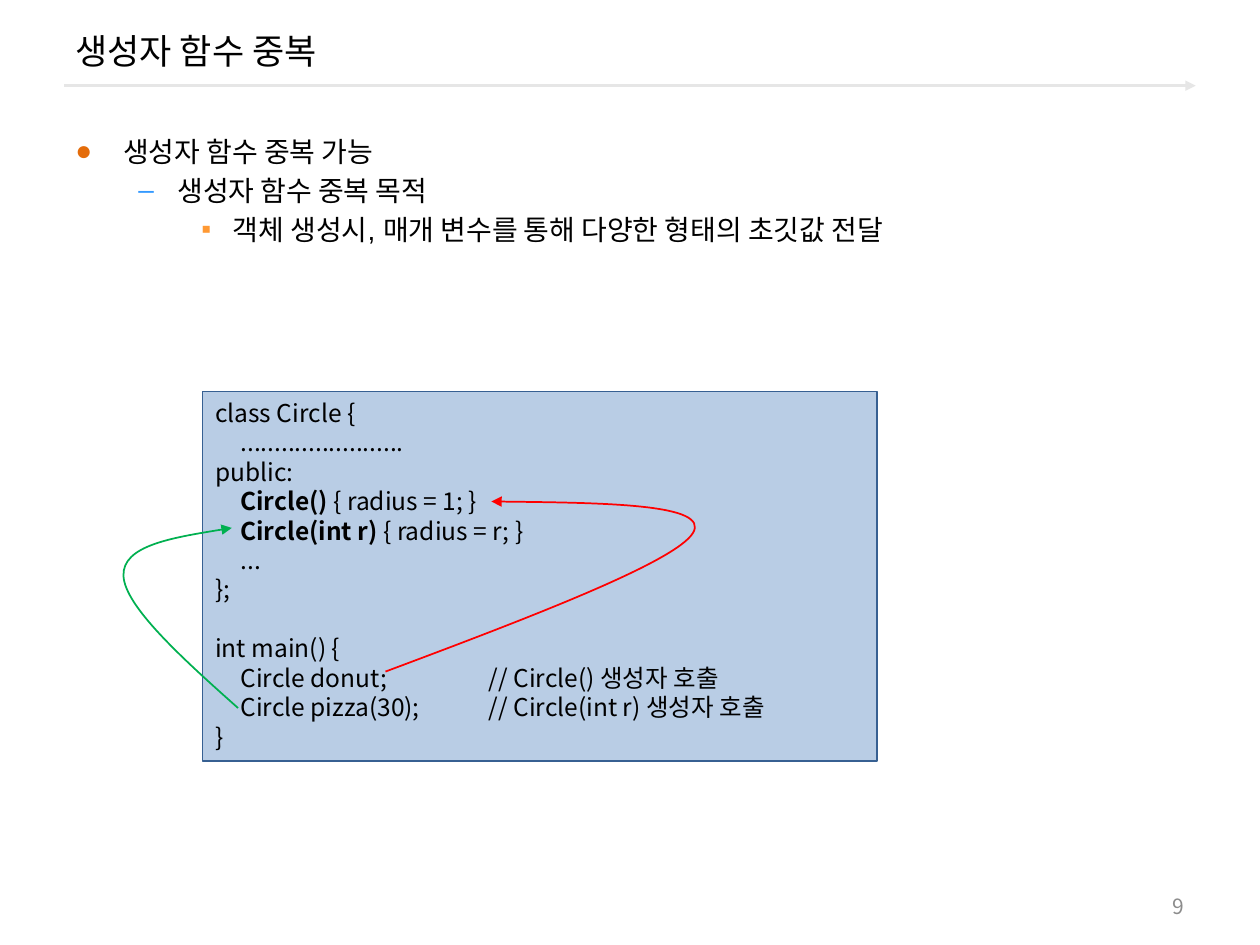
from lxml.etree import SubElement
from pptx import Presentation
from pptx.dml.color import RGBColor
from pptx.enum.shapes import MSO_CONNECTOR, MSO_SHAPE
from pptx.enum.text import MSO_ANCHOR, PP_ALIGN
from pptx.oxml.ns import qn
from pptx.util import Inches, Pt

BLACK = RGBColor(0x00, 0x00, 0x00)
GRAY = RGBColor(0x8C, 0x8C, 0x8C)
RULE_GRAY = RGBColor(0xE6, 0xE6, 0xE6)
CODE_FILL = RGBColor(0xB9, 0xCD, 0xE5)
CODE_LINE = RGBColor(0x37, 0x60, 0x92)
RED = RGBColor(0xFF, 0x00, 0x00)
GREEN = RGBColor(0x00, 0xB0, 0x50)
BULLET_ORANGE = RGBColor(0xE4, 0x6C, 0x0A)
BULLET_BLUE = RGBColor(0x33, 0x99, 0xFF)
BULLET_AMBER = RGBColor(0xFF, 0x99, 0x33)

KOREAN_FONT = "Noto Sans CJK KR"
LATIN_FONT = "Arial"

# Text, left margin, hanging indent, bullet, bullet colour
OUTLINE = [
    ("생성자 함수 중복 가능", 0.38, 0.38, "●", BULLET_ORANGE),
    ("생성자 함수 중복 목적", 0.81, 0.31, "–", BULLET_BLUE),
    ("객체 생성시, 매개 변수를 통해 다양한 형태의 초깃값 전달", 1.25, 0.25, "▪", BULLET_AMBER),
]

# Each line is a list of (text, bold) spans
CODE = [
    [("class Circle {", False)],
    [("\t........................", False)],
    [("public:", False)],
    [("\t", False), ("Circle()", True), (" { radius = 1; }", False)],
    [("\t", False), ("Circle(int r)", True), (" { radius = r; }", False)],
    [("\t...", False)],
    [("};", False)],
    [],
    [("int main() {", False)],
    [("\tCircle donut;\t// Circle() 생성자 호출", False)],
    [("\tCircle pizza(30);\t// Circle(int r) 생성자 호출", False)],
    [("}", False)],
]
CODE_TABS = (0.2, 2.17)

# Start point, then cubic segments of two control points and an end point
RED_CURVE = ((3.06, 5.33), [
    ((4.21, 4.9), (5.36, 4.46), (5.5, 4.23)),
    ((5.64, 4), (4.77, 3.99), (3.9, 3.98)),
])
GREEN_CURVE = ((1.89, 5.62), [
    ((1.44, 5.22), (0.99, 4.81), (0.98, 4.57)),
    ((0.97, 4.33), (1.41, 4.26), (1.84, 4.19)),
])


class SlideBuilder:
    def __init__(self, slide):
        self.slide = slide

    def style(self, para, size, color=BLACK, font=KOREAN_FONT):
        para.font.size = Pt(size)
        para.font.color.rgb = color
        para.font.name = font
        properties = para.font._element
        SubElement(properties, qn("a:ea")).set("typeface", KOREAN_FONT)

    def frame(self, left, top, width, height, anchor=MSO_ANCHOR.TOP):
        box = self.slide.shapes.add_textbox(
            Inches(left), Inches(top), Inches(width), Inches(height))
        box.text_frame.word_wrap = True
        box.text_frame.vertical_anchor = anchor
        return box.text_frame

    def label(self, text, left, top, width, height, size, color=BLACK, align=PP_ALIGN.LEFT):
        para = self.frame(left, top, width, height, MSO_ANCHOR.MIDDLE).paragraphs[0]
        para.add_run().text = text
        para.alignment = align
        self.style(para, size, color)

    def outline(self, items, left, top, width, height):
        frame = self.frame(left, top, width, height)
        for index, (text, margin, hanging, bullet, color) in enumerate(items):
            para = frame.add_paragraph() if index else frame.paragraphs[0]
            para.level = index
            para.line_spacing = Pt(19)
            para.space_before = Pt(3.2 if index else 0)
            properties = para._p.get_or_add_pPr()
            properties.set("marL", str(Inches(margin)))
            properties.set("indent", str(-Inches(hanging)))
            bullet_color = SubElement(properties, qn("a:buClr"))
            SubElement(bullet_color, qn("a:srgbClr")).set("val", str(color))
            SubElement(properties, qn("a:buFont")).set("typeface", LATIN_FONT)
            SubElement(properties, qn("a:buChar")).set("char", bullet)
            para.add_run().text = text
            self.style(para, 16, font=LATIN_FONT)

    def code(self, lines, left, top, width, height):
        box = self.slide.shapes.add_shape(
            MSO_SHAPE.RECTANGLE, Inches(left), Inches(top), Inches(width), Inches(height))
        box.shadow.inherit = False
        box.fill.solid()
        box.fill.fore_color.rgb = CODE_FILL
        box.line.color.rgb = CODE_LINE
        box.line.width = Pt(0.75)
        frame = box.text_frame
        frame.word_wrap = True
        frame.vertical_anchor = MSO_ANCHOR.TOP
        for index, spans in enumerate(lines):
            para = frame.add_paragraph() if index else frame.paragraphs[0]
            para.alignment = PP_ALIGN.LEFT
            para.line_spacing = Pt(16.8)
            tabs = SubElement(para._p.get_or_add_pPr(), qn("a:tabLst"))
            for position in CODE_TABS:
                stop = SubElement(tabs, qn("a:tab"))
                stop.set("pos", str(Inches(position)))
                stop.set("algn", "l")
            for text, bold in spans:
                span = para.add_run()
                span.text = text
                if bold:
                    span.font.bold = True
            self.style(para, 14)

    def arrow_line(self, shape, color, width):
        shape.line.color.rgb = color
        shape.line.width = Pt(width)
        SubElement(shape.line._get_or_add_ln(), qn("a:tailEnd")).set("type", "triangle")

    def rule(self, left, right, y):
        line = self.slide.shapes.add_connector(
            MSO_CONNECTOR.STRAIGHT, Inches(left), Inches(y), Inches(right), Inches(y))
        self.arrow_line(line, RULE_GRAY, 1.5)
        SubElement(line._element.spPr, qn("a:effectLst"))

    def curve(self, start, segments, color):
        """Draw an open outline and bend its straight segments into cubic curves."""
        builder = self.slide.shapes.build_freeform(Inches(start[0]), Inches(start[1]))
        builder.add_line_segments(
            [(Inches(x), Inches(y)) for *_, (x, y) in segments], close=False)
        shape = builder.convert_to_shape()
        shape.shadow.inherit = False
        shape.fill.background()
        for straight, points in zip(list(shape._element.iter(qn("a:lnTo"))), segments):
            straight.tag = qn("a:cubicBezTo")
            straight.clear()
            for x, y in points:
                point = SubElement(straight, qn("a:pt"))
                point.set("x", str(Inches(x) - shape.left))
                point.set("y", str(Inches(y) - shape.top))
        self.arrow_line(shape, color, 1)


def main():
    deck = Presentation()
    deck.slide_width, deck.slide_height = Inches(10), Inches(7.5)
    page = SlideBuilder(deck.slides.add_slide(deck.slide_layouts[6]))
    page.rule(0.51, 9.49, 0.68)
    page.label("생성자 함수 중복", 0.5, 0.08, 9, 0.64, 20)
    page.label("9", 7.17, 7.03, 2.33, 0.32, 12, GRAY, PP_ALIGN.RIGHT)
    page.outline(OUTLINE, 0.5, 1.02, 9, 6.02)
    page.code(CODE, 1.61, 3.11, 5.35, 2.93)
    page.curve(*RED_CURVE, RED)
    page.curve(*GREEN_CURVE, GREEN)
    deck.save("out.pptx")


if __name__ == "__main__":
    main()
